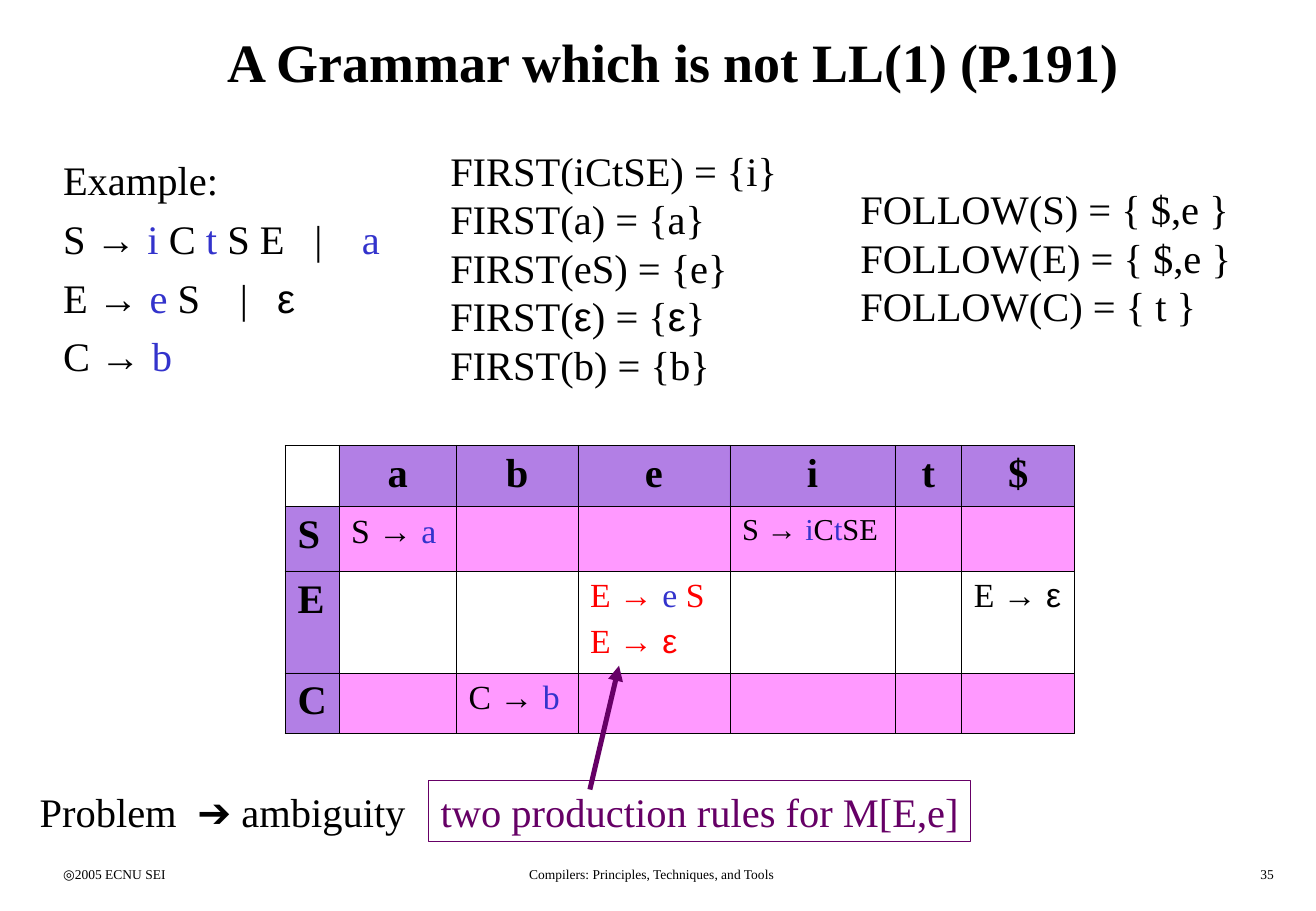
from dataclasses import dataclass
from typing import Any, Optional, Union

from lxml.etree import SubElement
from pptx import Presentation
from pptx.dml.color import RGBColor
from pptx.enum.shapes import MSO_CONNECTOR, MSO_SHAPE
from pptx.enum.text import MSO_ANCHOR, PP_ALIGN
from pptx.oxml import parse_xml
from pptx.oxml.ns import nsdecls, qn
from pptx.util import Cm, Pt


@dataclass(frozen=True)
class Theme:
    serif: str = "Times New Roman"
    sans: str = "Arial"
    black: str = "000000"
    terminal: str = "3333CC"
    conflict: str = "FF0000"
    callout: str = "660066"
    header: str = "6600CC"
    band: str = "FF99FF"
    title_size: float = 32
    text_size: float = 24
    rule_size: float = 20
    long_rule_size: float = 18
    footer_size: float = 8
    thin: float = 0.45
    thick: float = 1.08


THEME = Theme()


@dataclass(frozen=True)
class Run:
    text: str
    color: Optional[str] = None
    font: str = THEME.serif


Line = tuple[Union[str, Run], ...]


@dataclass(frozen=True)
class Style:
    size: float = THEME.text_size
    color: str = THEME.black
    bold: bool = False
    align: PP_ALIGN = PP_ALIGN.LEFT
    gap: float = 0
    anchor: MSO_ANCHOR = MSO_ANCHOR.TOP


@dataclass(frozen=True)
class TextBlock:
    box: tuple[float, float, float, float]
    lines: list[Line]
    style: Style = Style()
    tabs: tuple[tuple[float, ...], ...] = ()


def terminal(text: str) -> Run:
    return Run(text, THEME.terminal)


ARROW = Run("→ ", font=THEME.sans)
EPSILON = Run("ε", font=THEME.sans)
FOOTER_TOP, FOOTER_HEIGHT = 17.98, 0.64


def footer(left: float, width: float, text: str, align: PP_ALIGN) -> TextBlock:
    return TextBlock((left, FOOTER_TOP, width, FOOTER_HEIGHT), [(text,)],
                     Style(THEME.footer_size, align=align))


TEXT_BLOCKS = [
    footer(1.07, 5.74, "◎2005 ECNU SEI", PP_ALIGN.LEFT),
    footer(8.48, 10.31, "Compilers: Principles, Techniques, and Tools", PP_ALIGN.CENTER),
    footer(21.16, 5.74, "35", PP_ALIGN.RIGHT),
    # Title
    TextBlock((1.07, 0.43, 26.04, 1.7), [("A Grammar which is not LL(1) (P.191)",)],
              Style(THEME.title_size, bold=True, align=PP_ALIGN.CENTER,
                    anchor=MSO_ANCHOR.MIDDLE)),
    # Grammar
    TextBlock((1.07, 3.12, 8.31, 5.79), [
        ("Example:",),
        ("S ", ARROW, terminal("i "), "C", terminal(" t "), "S E\t|\t", terminal("a")),
        ("E ", ARROW, terminal("e "), "S\t|\t", EPSILON),
        ("C ", ARROW, terminal("b")),
    ], Style(gap=6), ((), (5.26, 6.25), (3.7, 4.48))),
    # FOLLOW and FIRST sets
    TextBlock((17.75, 3.73, 8.61, 3.3), [
        ("FOLLOW(S) = { $,e }",), ("FOLLOW(E) = { $,e }",), ("FOLLOW(C) = { t }",)]),
    TextBlock((9.17, 2.92, 8.2, 5.33), [
        ("FIRST(iCtSE) = {i}",), ("FIRST(a) = {a}",), ("FIRST(eS) = {e}",),
        ("FIRST(", EPSILON, ") = {", EPSILON, "}"), ("FIRST(b) = {b}",)]),
    # Conclusion
    TextBlock((0.58, 16.33, 8.4, 1.27),
              [("Problem\t", Run("➔", font=THEME.sans), " ambiguity")], tabs=((3.3,),)),
]

# Parsing table
TABLE_BOX = (5.97, 9.32, 16.51, 6.02)
COLUMN_WIDTHS = (1.12, 2.46, 2.54, 3.18, 3.45, 1.4, 2.36)
ROW_HEIGHTS = (1.27, 1.35, 2.13, 1.27)
INPUT_SYMBOLS = "abeit$"
NONTERMINALS = "SEC"
RULE = Style(THEME.rule_size, gap=5)
ENTRIES: dict[tuple[str, str], tuple[list[Line], Style]] = {
    ("S", "a"): ([("S ", ARROW, terminal("a"))], RULE),
    ("S", "i"): ([("S ", ARROW, terminal("i"), "C", terminal("t"), "SE")],
                 Style(THEME.long_rule_size)),
    ("E", "e"): ([("E ", ARROW, terminal("e"), " S"), ("E ", ARROW, EPSILON)],
                 Style(THEME.rule_size, THEME.conflict, gap=5)),
    ("E", "$"): ([("E ", ARROW, EPSILON)], RULE),
    ("C", "b"): ([("C ", ARROW, terminal("b"))], RULE),
}


def apply(target: Any, values: dict[str, Any]) -> None:
    for name, value in values.items():
        setattr(target, name, value)


def write_lines(text_frame: Any, lines: list[Line], style: Style,
                tabs: tuple[tuple[float, ...], ...] = ()) -> None:
    for index, line in enumerate(lines):
        paragraph = text_frame.add_paragraph() if index else text_frame.paragraphs[0]
        if index < len(tabs) and tabs[index]:
            tab_list = SubElement(paragraph._p.get_or_add_pPr(), qn("a:tabLst"))
            for position in tabs[index]:
                SubElement(tab_list, qn("a:tab"), pos=str(Cm(position)), algn="l")
        apply(paragraph, {"alignment": style.align,
                          "space_before": Pt(style.gap if index else 0)})
        for part in line:
            piece = part if isinstance(part, Run) else Run(part)
            run = paragraph.add_run()
            run.text = piece.text
            apply(run.font, {"name": piece.font, "size": Pt(style.size), "bold": style.bold})
            run.font.color.rgb = RGBColor.from_string(piece.color or style.color)


def draw_text(slide: Any, block: TextBlock) -> None:
    text_frame = slide.shapes.add_textbox(*map(Cm, block.box)).text_frame
    apply(text_frame, {"word_wrap": True, "vertical_anchor": block.style.anchor})
    write_lines(text_frame, block.lines, block.style, block.tabs)


def draw_borders(cell: Any, widths: dict[str, float]) -> None:
    properties = cell._tc.get_or_add_tcPr()
    for index, (side, width) in enumerate(widths.items()):
        properties.insert(index, parse_xml(
            f'<a:ln{side} {nsdecls("a")} w="{Pt(width)}"><a:solidFill>'
            f'<a:srgbClr val="{THEME.black}"/></a:solidFill></a:ln{side}>'))


def fill_cell(cell: Any, color: Optional[str], opacity: int = 100) -> None:
    if color is None:
        cell.fill.background()
        return
    cell.fill.solid()
    cell.fill.fore_color.rgb = RGBColor.from_string(color)
    if opacity < 100:
        color_element = cell._tc.tcPr.find(".//" + qn("a:srgbClr"))
        SubElement(color_element, qn("a:alpha"), val=str(opacity * 1000))


def draw_parsing_table(slide: Any) -> None:
    last_row, last_column = len(NONTERMINALS), len(INPUT_SYMBOLS)
    table = slide.shapes.add_table(last_row + 1, last_column + 1, *map(Cm, TABLE_BOX)).table
    apply(table, {"first_row": False, "horz_banding": False})
    for column, width in zip(table.columns, COLUMN_WIDTHS):
        column.width = Cm(width)
    for row, height in zip(table.rows, ROW_HEIGHTS):
        row.height = Cm(height)
    for r in range(last_row + 1):
        for c in range(last_column + 1):
            cell = table.cell(r, c)
            if r and c:
                fill_cell(cell, THEME.band if r % 2 else None)
                entry = ENTRIES.get((NONTERMINALS[r - 1], INPUT_SYMBOLS[c - 1]))
                if entry:
                    write_lines(cell.text_frame, *entry)
            elif r or c:
                fill_cell(cell, THEME.header, 50)
                label = NONTERMINALS[r - 1] if r else INPUT_SYMBOLS[c - 1]
                align = PP_ALIGN.LEFT if r else PP_ALIGN.CENTER
                write_lines(cell.text_frame, [(label,)], Style(bold=True, align=align))
            else:
                fill_cell(cell, None)
            outer = {"L": c == 0, "R": c == last_column, "T": r == 0, "B": r == last_row}
            draw_borders(cell, {side: THEME.thick if edge else THEME.thin
                                for side, edge in outer.items()})


def draw_callout(slide: Any) -> None:
    color = RGBColor.from_string(THEME.callout)
    # Arrow to the conflicting entry
    arrow = slide.shapes.add_connector(MSO_CONNECTOR.STRAIGHT,
                                       *map(Cm, (12.34, 16.51, 12.95, 13.92)))
    arrow.line.color.rgb = color
    arrow.line.width = Pt(3)
    SubElement(arrow.line._get_or_add_ln(), qn("a:tailEnd"), type="triangle")
    SubElement(arrow._element.spPr, qn("a:effectLst"))
    # Framed explanation
    frame = slide.shapes.add_shape(MSO_SHAPE.RECTANGLE, *map(Cm, (8.97, 16.33, 11.33, 1.27)))
    frame.shadow.inherit = False
    frame.fill.background()
    frame.line.color.rgb = color
    frame.line.width = Pt(0.75)
    apply(frame.text_frame, {"word_wrap": False, "vertical_anchor": MSO_ANCHOR.TOP})
    write_lines(frame.text_frame, [("two production rules for M[E,e]",)],
                Style(color=THEME.callout))


def main() -> None:
    presentation = Presentation()
    apply(presentation, {"slide_width": Cm(27.53), "slide_height": Cm(19.05)})
    slide = presentation.slides.add_slide(presentation.slide_layouts[6])
    draw_parsing_table(slide)
    draw_callout(slide)
    for block in TEXT_BLOCKS:
        draw_text(slide, block)
    presentation.save("out.pptx")


if __name__ == "__main__":
    main()
